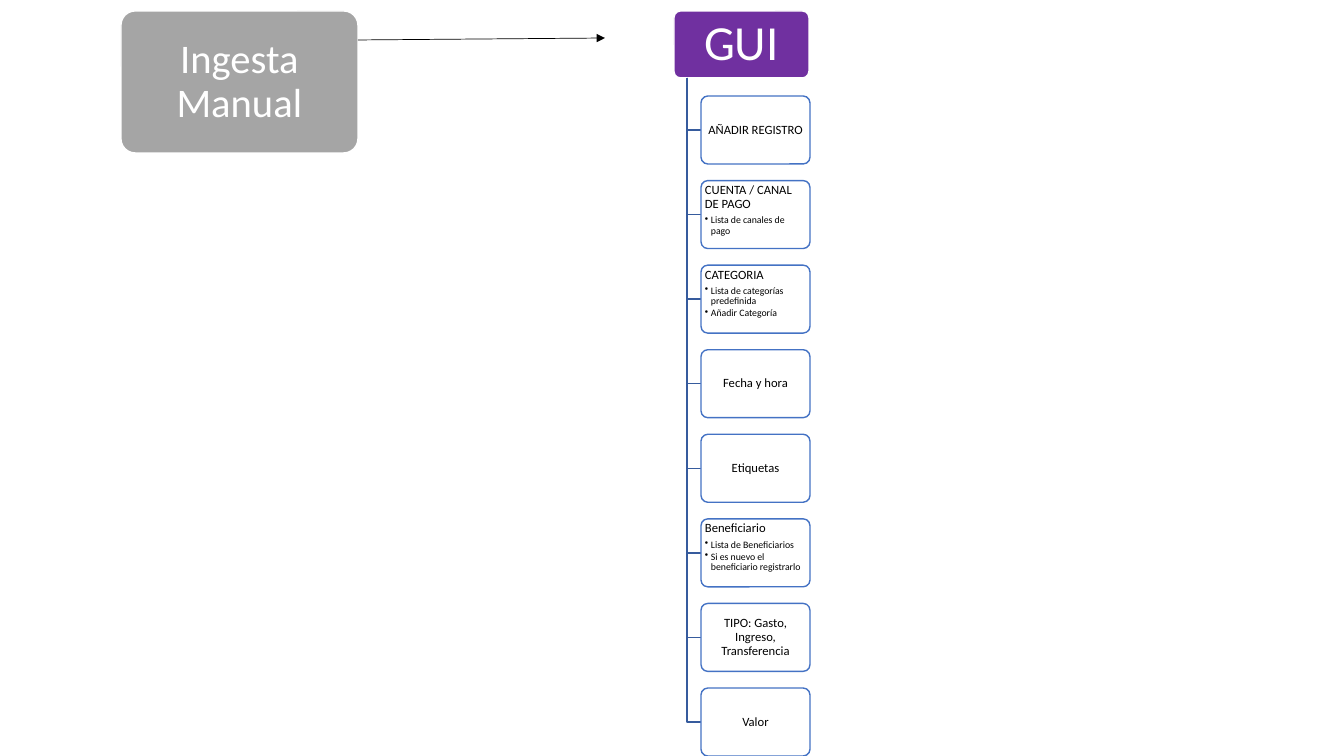
from dataclasses import dataclass

from lxml import etree
from pptx import Presentation
from pptx.dml.color import RGBColor
from pptx.enum.shapes import MSO_CONNECTOR, MSO_SHAPE
from pptx.enum.text import MSO_ANCHOR, PP_ALIGN
from pptx.oxml.ns import qn
from pptx.util import Pt

ROUNDED = MSO_SHAPE.ROUNDED_RECTANGLE
STRAIGHT = MSO_CONNECTOR.STRAIGHT
TOP, MIDDLE = MSO_ANCHOR.TOP, MSO_ANCHOR.MIDDLE
LEFT, CENTER = PP_ALIGN.LEFT, PP_ALIGN.CENTER

SOURCE = "Ingesta Manual"
INTERFACE = "GUI"
FIELDS = [
    ("AÑADIR REGISTRO", []),
    ("CUENTA / CANAL DE PAGO", ["Lista de canales de pago"]),
    ("CATEGORIA", ["Lista de categorías predefinida", "Añadir Categoría"]),
    ("Fecha y hora", []),
    ("Etiquetas", []),
    ("Beneficiario", ["Lista de Beneficiarios", "Si es nuevo el beneficiario registrarlo"]),
    ("TIPO: Gasto, Ingreso, Transferencia", []),
    ("Valor", []),
]


@dataclass(frozen=True)
class Theme:
    font: str = "Calibri"
    white: str = "FFFFFF"
    black: str = "000000"
    gray: str = "A5A5A5"
    purple: str = "7030A0"
    blue: str = "4472C4"
    branch: str = "365B9D"
    source_size: int = 29
    interface_size: int = 35
    field_size: int = 9
    detail_size: int = 7


THEME = Theme()
SLIDE_W, SLIDE_H = 1344, 756
EMU_PER_PX = 12192000 / SLIDE_W
SOURCE_BOX = (121, 11, 237, 142)
INTERFACE_BOX = (674, 11, 135, 67)
ARROW = (358, 40, 605, 38)
TRUNK_X = 687
FIELD_X, FIELD_W, FIELD_H = 701, 109, 68
FIRST_Y, LAST_Y = 96, 688
BULLET_INDENT = 6


def px(value):
    return round(value * EMU_PER_PX)


def color(code):
    return RGBColor.from_string(code)


def add_box(page, area, fill, outline, insets, anchor=MIDDLE):
    box = page.shapes.add_shape(ROUNDED, *map(px, area))
    box.adjustments[0] = 0.1
    box.shadow.inherit = False
    box.fill.solid()
    box.fill.fore_color.rgb = color(fill)
    box.line.color.rgb = color(outline)
    box.line.width = Pt(1)
    frame = box.text_frame
    frame.word_wrap = True
    frame.vertical_anchor = anchor
    frame.margin_left = frame.margin_right = px(insets[0])
    frame.margin_top = frame.margin_bottom = px(insets[1])
    return box


def write(para, text, size, ink, align=CENTER):
    para.alignment = align
    para.line_spacing = 0.9
    span = para.add_run()
    span.text = text
    span.font.name = THEME.font
    span.font.size = Pt(size)
    span.font.color.rgb = color(ink)


def add_bullet(para):
    props = para._p.get_or_add_pPr()
    props.set("marL", str(px(BULLET_INDENT)))
    props.set("indent", str(-px(BULLET_INDENT)))
    etree.SubElement(props, qn("a:buChar")).set("char", "•")


def add_arrow(page):
    arrow = page.shapes.add_connector(STRAIGHT, *map(px, ARROW))
    arrow.line.color.rgb = color(THEME.black)
    arrow.line.width = Pt(0.5)
    etree.SubElement(arrow.line._get_or_add_ln(), qn("a:tailEnd")).set("type", "triangle")
    etree.SubElement(arrow._element.spPr, qn("a:effectLst"))


def add_branch(page, middle):
    start = INTERFACE_BOX[1] + INTERFACE_BOX[3]
    builder = page.shapes.build_freeform(px(TRUNK_X), px(start))
    corners = [(TRUNK_X, middle), (FIELD_X, middle)]
    builder.add_line_segments([(px(x), px(y)) for x, y in corners], close=False)
    branch = builder.convert_to_shape()
    branch.shadow.inherit = False
    branch.fill.background()
    branch.line.color.rgb = color(THEME.branch)
    branch.line.width = Pt(1)


def add_field(page, top, title, details):
    add_branch(page, top + FIELD_H / 2)
    anchor, align = (TOP, LEFT) if details else (MIDDLE, CENTER)
    area = (FIELD_X, top, FIELD_W, FIELD_H)
    frame = add_box(page, area, THEME.white, THEME.blue, (2, 1), anchor).text_frame
    heading = frame.paragraphs[0]
    write(heading, title, THEME.field_size, THEME.black, align)
    if details:
        heading.space_after = Pt(3)
    for detail in details:
        para = frame.add_paragraph()
        para.level = 1
        write(para, detail, THEME.detail_size, THEME.black, LEFT)
        para.space_after = Pt(1)
        add_bullet(para)


def main():
    deck = Presentation()
    deck.slide_width, deck.slide_height = px(SLIDE_W), px(SLIDE_H)
    page = deck.slides.add_slide(deck.slide_layouts[6])

    source = add_box(page, SOURCE_BOX, THEME.gray, THEME.white, (12, 12))
    write(source.text_frame.paragraphs[0], SOURCE, THEME.source_size, THEME.white)
    add_arrow(page)
    interface = add_box(page, INTERFACE_BOX, THEME.purple, THEME.white, (7, 5))
    write(interface.text_frame.paragraphs[0], INTERFACE, THEME.interface_size, THEME.white)

    pitch = (LAST_Y - FIRST_Y) / (len(FIELDS) - 1)
    for index, (title, details) in enumerate(FIELDS):
        add_field(page, FIRST_Y + index * pitch, title, details)

    deck.save("out.pptx")


if __name__ == "__main__":
    main()
